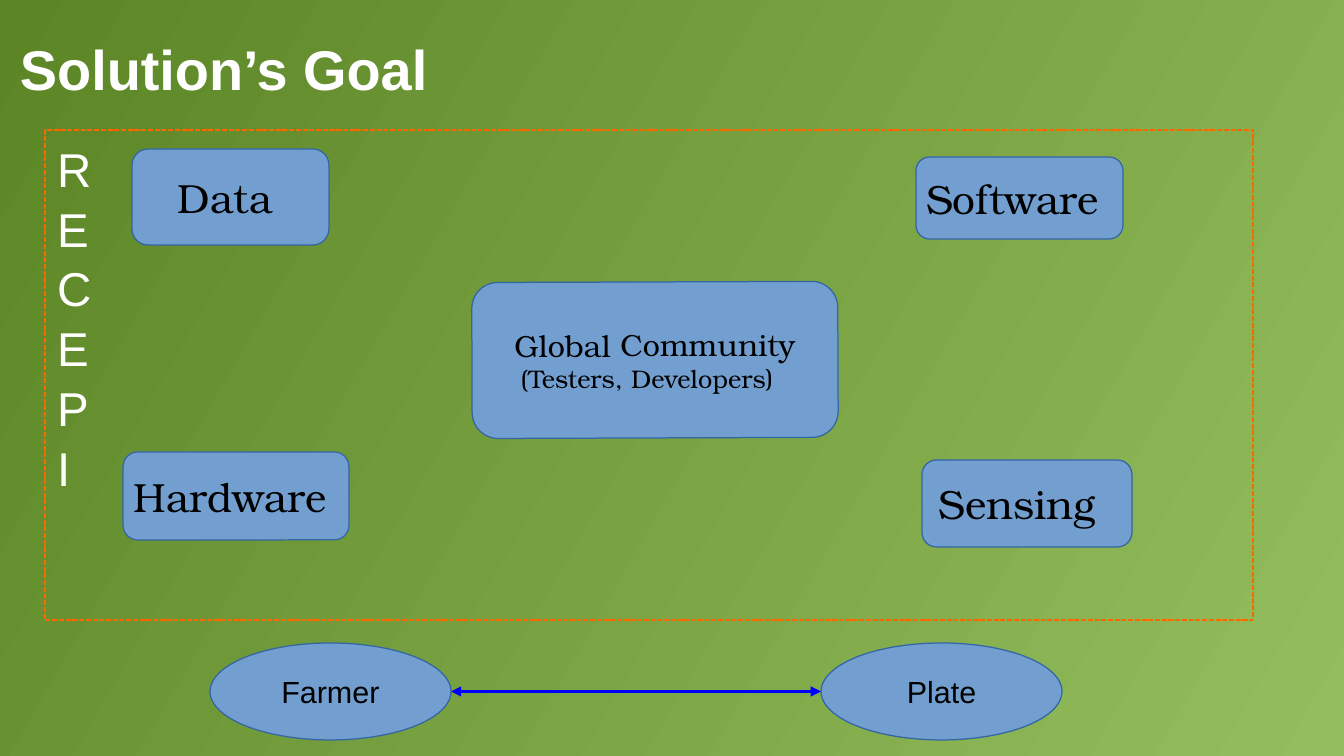
from lxml import etree
from pptx import Presentation
from pptx.dml.color import RGBColor
from pptx.enum.dml import MSO_LINE
from pptx.enum.shapes import MSO_CONNECTOR, MSO_SHAPE
from pptx.enum.text import MSO_ANCHOR, PP_ALIGN
from pptx.oxml.ns import qn
from pptx.util import Pt

ROUNDED, OVAL, RECT = MSO_SHAPE.ROUNDED_RECTANGLE, MSO_SHAPE.OVAL, MSO_SHAPE.RECTANGLE
STRAIGHT = MSO_CONNECTOR.STRAIGHT
DASHED = MSO_LINE.SQUARE_DOT
MIDDLE, TOP = MSO_ANCHOR.MIDDLE, MSO_ANCHOR.TOP
CENTER, LEFT = PP_ALIGN.CENTER, PP_ALIGN.LEFT

# Content: boxes in px, text sizes in points
SLIDE_SIZE = (1344, 756)
SANS, SERIF = "Arial", "TeX Gyre Bonum"
COLORS = {
    "light": "94BD5E", "dark": "5C8526", "box": "729FCF", "edge": "3465A4",
    "arrow": "0000FF", "frame": "FF6600", "white": "FFFFFF", "black": "000000",
}
TITLE = ("Solution’s Goal", (20, 5, 605, 127), 33)
PROJECT = ("RECEPI", (45, 131, 72, 554), 28)
FRAME = (45, 130, 1208, 490)
# name, box, extra right inset that moves the text left
PARTS = [
    ("Data", (132, 149, 197, 96), 10),
    ("Software", (916, 157, 207, 82), 14),
    ("Hardware", (123, 452, 226, 88), 12),
    ("Sensing", (922, 460, 210, 87), 20),
]
COMMUNITY = (("Global Community", 18), ("(Testers, Developers)", 15))
COMMUNITY_BOX = (472, 282, 366, 156)
COMMUNITY_TILT = 359.8
ENDS = [("Farmer", 210), ("Plate", 821)]
END_TOP, END_WIDTH, END_HEIGHT = 643, 241, 97
INSETS = (12, 6, 12, 6)

PX = 914400 // 122


def px(*values):
    return [value * PX for value in values]


def color(name):
    return RGBColor.from_string(COLORS[name])


def write(shape, lines, font, ink, align, anchor=MIDDLE, insets=INSETS, wrap=False):
    frame = shape.text_frame
    frame.word_wrap = wrap
    frame.vertical_anchor = anchor
    (frame.margin_left, frame.margin_top,
     frame.margin_right, frame.margin_bottom) = px(*insets)
    frame.text = "\n".join(line for line, _ in lines)
    for paragraph, (_, size) in zip(frame.paragraphs, lines):
        paragraph.alignment = align
        letters = paragraph.runs[0].font
        letters.name, letters.size = font, Pt(size)
        letters.color.rgb = color(ink)
    return frame


def add_node(kind, box, lines, font, nudge=0):
    node = slide.shapes.add_shape(kind, *px(*box))
    node.shadow.inherit = False
    node.fill.solid()
    node.fill.fore_color.rgb = color("box")
    node.line.color.rgb = color("edge")
    node.line.width = 0
    left, top, right, bottom = INSETS
    write(node, lines, font, "black", CENTER, insets=(left, top, right + nudge, bottom))
    return node


prs = Presentation()
prs.slide_width, prs.slide_height = px(*SLIDE_SIZE)
slide = prs.slides.add_slide(prs.slide_layouts[6])

# Background gradient, light at the lower right
background = slide.background.fill
background.gradient()
background.gradient_angle = 150
for stop, name in zip(background.gradient_stops, ("light", "dark")):
    stop.color.rgb = color(name)

# Title
text, box, size = TITLE
title = slide.shapes.add_textbox(*px(*box))
heading = write(title, [(text, size)], SANS, "white", LEFT, insets=(0, 0, 0, 0), wrap=True)
heading.paragraphs[0].runs[0].font.bold = True

# Parts around the community
for name, box, nudge in PARTS:
    add_node(ROUNDED, box, [(name, 24)], SERIF, nudge)
community = add_node(ROUNDED, COMMUNITY_BOX, COMMUNITY, SERIF)
community.rotation = COMMUNITY_TILT
# The second line sits slightly left of centre
roles = community.text_frame.paragraphs[1]
roles._p.get_or_add_pPr().set("marR", str(16 * PX))

# Farmer and plate, joined by a two-way arrow
farmer, plate = [
    add_node(OVAL, (left, END_TOP, END_WIDTH, END_HEIGHT), [(name, 18)], SANS)
    for name, left in ENDS
]
middle = farmer.top + farmer.height // 2
exchange = slide.shapes.add_connector(
    STRAIGHT, farmer.left + farmer.width, middle, plate.left, middle)
exchange.line.color.rgb = color("arrow")
exchange.line.width = 0
outline = exchange.line._get_or_add_ln()
for end in ("a:headEnd", "a:tailEnd"):
    etree.SubElement(outline, qn(end), type="triangle")
etree.SubElement(exchange._element.spPr, qn("a:effectLst"))

# Dashed frame with the project name written downwards
frame = slide.shapes.add_shape(RECT, *px(*FRAME))
frame.shadow.inherit = False
frame.fill.background()
frame.line.color.rgb = color("frame")
frame.line.width = Pt(1)
frame.line.dash_style = DASHED

text, box, size = PROJECT
project = slide.shapes.add_textbox(*px(*box))
column = write(project, [(letter, size) for letter in text], SANS, "white", LEFT, TOP, wrap=True)
for paragraph in column.paragraphs:
    paragraph.line_spacing = 1.05

prs.save("out.pptx")
